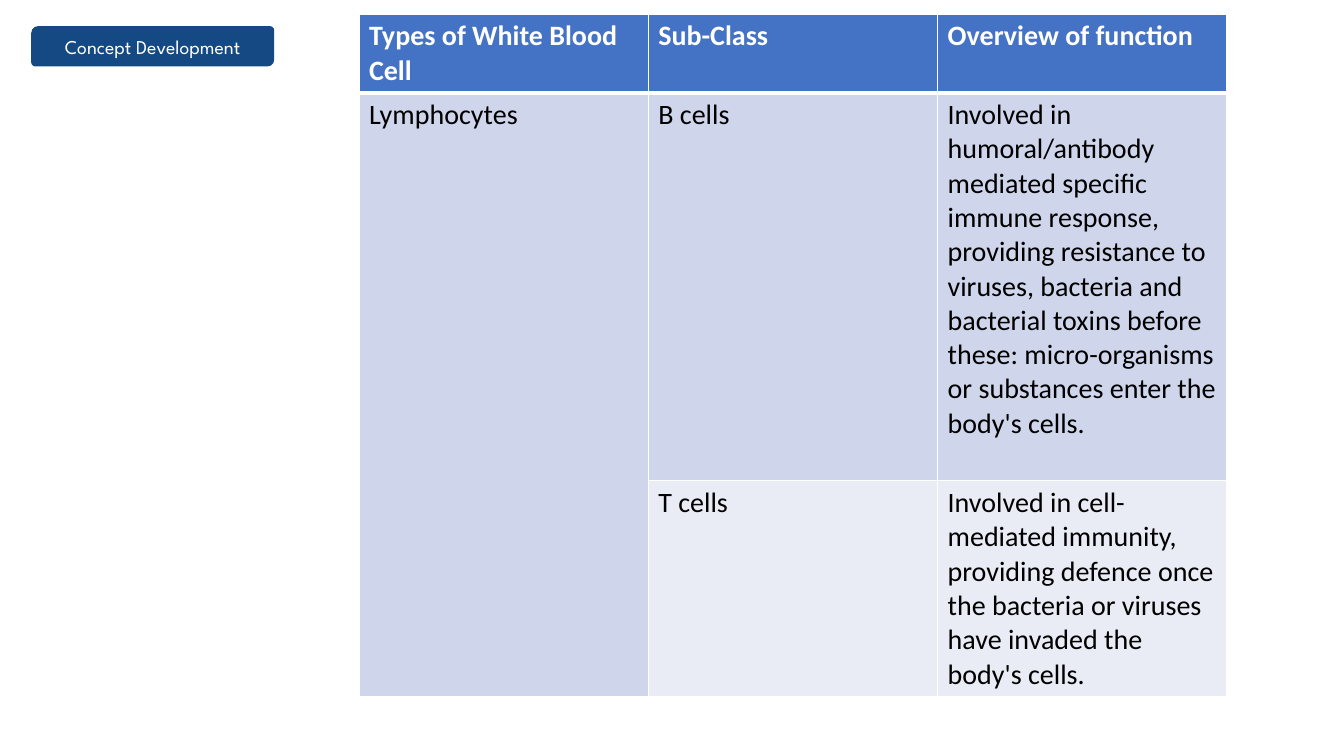
from dataclasses import dataclass

from lxml import etree
from pptx import Presentation
from pptx.dml.color import RGBColor
from pptx.enum.shapes import MSO_SHAPE
from pptx.enum.text import MSO_ANCHOR, PP_ALIGN
from pptx.oxml.ns import qn
from pptx.util import Inches, Pt

TAG_SHAPE = MSO_SHAPE.ROUND_2_DIAG_RECTANGLE
MIDDLE = MSO_ANCHOR.MIDDLE
LEFT, CENTER = PP_ALIGN.LEFT, PP_ALIGN.CENTER


@dataclass(frozen=True)
class Theme:
    navy: str = "154983"
    header: str = "4472C4"
    band_dark: str = "CFD5EA"
    band_light: str = "E9EBF5"
    white: str = "FFFFFF"
    black: str = "000000"
    tag_font: str = "League Spartan"
    table_font: str = "Calibri"
    tag_size: int = 14
    table_size: int = 20


THEME = Theme()


def write_text(frame, text, font, size, color, bold=False, align=LEFT):
    paragraph = frame.paragraphs[0]
    paragraph.text = text
    paragraph.alignment = align
    paragraph.font.name = font
    paragraph.font.size = Pt(size)
    paragraph.font.bold = bold
    paragraph.font.color.rgb = RGBColor.from_string(color)


def add_borders(cell, color, bottom_width):
    """Draw 1 pt cell borders, with a chosen width at the bottom."""
    properties = cell._tc.get_or_add_tcPr()
    widths = {"a:lnL": 1, "a:lnR": 1, "a:lnT": 1, "a:lnB": bottom_width}
    for index, (tag, width) in enumerate(widths.items()):
        line = etree.Element(qn(tag), w=str(Pt(width)))
        fill = etree.SubElement(line, qn("a:solidFill"))
        etree.SubElement(fill, qn("a:srgbClr"), val=color)
        properties.insert(index, line)


presentation = Presentation()
presentation.slide_width = Inches(13.33)
presentation.slide_height = Inches(7.5)
slide = presentation.slides.add_slide(presentation.slide_layouts[6])

# Section tag
tag = slide.shapes.add_shape(
    TAG_SHAPE, Inches(0.31), Inches(0.26), Inches(2.41), Inches(0.4))
tag.adjustments[0] = 0.17
tag.adjustments[1] = 0.1
tag.shadow.inherit = False
tag.fill.solid()
tag.fill.fore_color.rgb = RGBColor.from_string(THEME.navy)
tag.line.fill.background()
tag.text_frame.vertical_anchor = MIDDLE
write_text(tag.text_frame, "Concept Development", font=THEME.tag_font,
           size=THEME.tag_size, color=THEME.white, align=CENTER)

# Table of white blood cells
cell_rows = [
    ["Types of White Blood Cell", "Sub-Class", "Overview of function"],
    ["Lymphocytes", "B cells",
     "Involved in humoral/antibody mediated specific immune response, "
     "providing resistance to viruses, bacteria and bacterial toxins before "
     "these: micro-organisms or substances enter the body's cells."],
    ["", "T cells",
     "Involved in cell-mediated immunity, providing defence once the bacteria "
     "or viruses have invaded the body's cells."],
]
row_heights = [0.72, 3.85, 1.97]
row_fills = [THEME.header, THEME.band_dark, THEME.band_light]

table = slide.shapes.add_table(
    len(cell_rows), len(cell_rows[0]), Inches(3.56), Inches(0.14),
    Inches(8.61), Inches(sum(row_heights))).table
for column in table.columns:
    column.width = Inches(2.87)
table.cell(1, 0).merge(table.cell(2, 0))

for row_index, texts in enumerate(cell_rows):
    is_header = row_index == 0
    table.rows[row_index].height = Inches(row_heights[row_index])
    for column_index, text in enumerate(texts):
        cell = table.cell(row_index, column_index)
        cell.fill.solid()
        cell.fill.fore_color.rgb = RGBColor.from_string(row_fills[row_index])
        add_borders(cell, THEME.white, bottom_width=3 if is_header else 1)
        if not cell.is_spanned:
            write_text(cell.text_frame, text, font=THEME.table_font,
                       size=THEME.table_size, bold=is_header,
                       color=THEME.white if is_header else THEME.black)

presentation.save("out.pptx")
